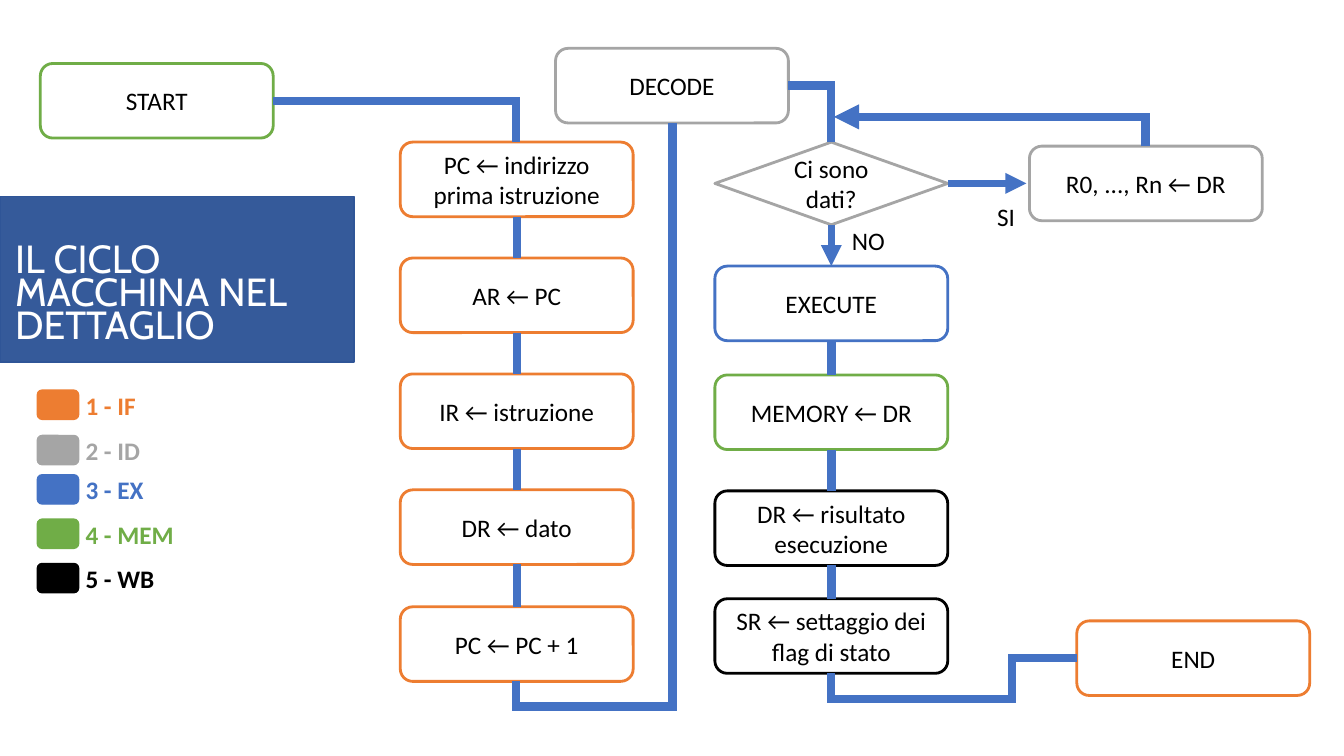
from pptx import Presentation
from pptx.dml.color import RGBColor
from pptx.enum.shapes import MSO_CONNECTOR, MSO_SHAPE
from pptx.enum.text import MSO_ANCHOR, MSO_AUTO_SIZE, PP_ALIGN
from pptx.oxml.ns import qn
from pptx.util import Pt
from lxml.etree import SubElement

WHITE = RGBColor(0xFF, 0xFF, 0xFF)
BLACK = RGBColor(0x00, 0x00, 0x00)
ORANGE = RGBColor(0xED, 0x7D, 0x31)
GREY = RGBColor(0xA5, 0xA5, 0xA5)
BLUE = RGBColor(0x44, 0x72, 0xC4)
GREEN = RGBColor(0x70, 0xAD, 0x47)
NAVY = RGBColor(0x2F, 0x55, 0x97)

EMU_PER_PX = 9144
STEP_W, STEP_H = 231, 74
TOP, BOTTOM, RIGHT = 0, 2, 3  # connection sites of a step


def px(*lengths):
    return [length * EMU_PER_PX for length in lengths]


class FlowSlide:
    """Holds the slide and the common look of its parts."""

    body_font = "Calibri"
    title_font = "Cabin"
    body_size = 18

    def __init__(self, slide):
        self.slide = slide
        self.shapes = slide.shapes

    def add_text(self, frame, text, color=BLACK, font=body_font, size=body_size,
                 bold=False, align=PP_ALIGN.LEFT):
        frame.word_wrap = True
        paragraph = frame.paragraphs[0]
        paragraph.alignment = align
        run = paragraph.add_run()
        run.text = text
        run.font.name = font
        run.font.size = Pt(size)
        run.font.bold = bold
        run.font.color.rgb = color
        return paragraph

    def block(self, kind, box, fill, outline, weight=1):
        shape = self.shapes.add_shape(kind, *px(*box))
        shape.shadow.inherit = False
        shape.fill.solid()
        shape.fill.fore_color.rgb = fill
        shape.line.color.rgb = outline
        shape.line.width = Pt(weight)
        return shape

    def step(self, text, left, top, outline, height=STEP_H,
             kind=MSO_SHAPE.FLOWCHART_ALTERNATE_PROCESS):
        shape = self.block(kind, (left, top, STEP_W, height), WHITE, outline, 2)
        shape.text_frame.vertical_anchor = MSO_ANCHOR.MIDDLE
        self.add_text(shape.text_frame, text, align=PP_ALIGN.CENTER)
        return shape

    def label(self, text, box, color=BLACK, bold=False):
        textbox = self.shapes.add_textbox(*px(*box))
        self.add_text(textbox.text_frame, text, color, bold=bold)

    def style_link(self, link, weight, arrow):
        link.line.color.rgb = BLUE
        link.line.width = Pt(weight)
        outline = link.element.spPr.find(qn("a:ln"))
        SubElement(outline, qn("a:miter"), lim="800000")
        if arrow:
            SubElement(outline, qn("a:tailEnd"), type="triangle")
        SubElement(link.element.spPr, qn("a:effectLst"))

    def straight(self, start=(0, 0), end=(0, 0), weight=6, arrow=False):
        link = self.shapes.add_connector(MSO_CONNECTOR.STRAIGHT,
                                         *px(*start, *end))
        self.style_link(link, weight, arrow)
        return link

    def descend(self, upper, lower, weight=6, arrow=False):
        """Join the bottom of one step to the top of the next."""
        link = self.straight(weight=weight, arrow=arrow)
        link.begin_connect(upper, BOTTOM)
        link.end_connect(lower, TOP)

    def elbow(self, start, end, preset="bentConnector2", turn=0, flips="",
              bends=(), arrow=False):
        """Bent line; turn is in degrees, bends are in thousandths of a percent."""
        (x1, y1), (x2, y2) = px(*start), px(*end)
        width, height = abs(x2 - x1), abs(y2 - y1)
        if turn in (90, 270):
            width, height = height, width
        left, top = (x1 + x2 - width) // 2, (y1 + y2 - height) // 2
        link = self.shapes.add_connector(MSO_CONNECTOR.ELBOW, left, top,
                                         left + width, top + height)
        frame = link.element.spPr.find(qn("a:xfrm"))
        frame.set("rot", str(turn * 60000))
        for flip in flips:
            frame.set("flip" + flip, "1")
        geometry = link.element.spPr.find(qn("a:prstGeom"))
        geometry.set("prst", preset)
        guides = geometry.find(qn("a:avLst"))
        for number, bend in enumerate(bends, 1):
            SubElement(guides, qn("a:gd"), name=f"adj{number}",
                       fmla=f"val {bend}")
        self.style_link(link, 6, arrow)

    def title(self, text, box):
        title = self.shapes.title
        title.left, title.top, title.width, title.height = px(*box)
        frame = title.text_frame
        frame.auto_size = MSO_AUTO_SIZE.NONE
        frame.vertical_anchor = MSO_ANCHOR.BOTTOM
        heading = self.add_text(frame, text, WHITE, self.title_font, 28)
        heading.line_spacing = 0.7
        title.element.getparent().append(title.element)  # in front of its band


def draw_flow(flow):
    flow.step("START", 40, 63, GREEN)
    fetch_texts = ("PC ← indirizzo prima istruzione", "AR ← PC",
                   "IR ← istruzione", "DR ← dato", "PC ← PC + 1")
    fetch = [flow.step(text, 397, 141 + row * 461 // 4, ORANGE)
             for row, text in enumerate(fetch_texts)]
    flow.step("DECODE", 551, 48, GREY)
    question = flow.step("Ci sono dati?", 709, 141, GREY, 82,
                         MSO_SHAPE.FLOWCHART_DECISION)
    run_steps = [flow.step(text, 709, top, color) for text, top, color in (
        ("EXECUTE", 264, BLUE),
        ("MEMORY ← DR", 372, GREEN),
        ("DR ← risultato esecuzione", 487, BLACK),
        ("SR ← settaggio dei flag di stato", 594, BLACK),
    )]
    flow.step("R0, ..., Rn ← DR", 1021, 145, GREY)
    flow.step("END", 1068, 616, ORANGE)

    for chain in (fetch, run_steps):
        for upper, lower in zip(chain, chain[1:]):
            flow.descend(upper, lower)
    flow.descend(question, run_steps[0], weight=5, arrow=True)
    yes_arrow = flow.straight((940, 182), (1018, 182), weight=5, arrow=True)
    yes_arrow.begin_connect(question, RIGHT)

    flow.elbow((271, 100), (512, 141))
    flow.elbow((782, 85), (824, 141))
    flow.elbow((512, 676), (667, 122), "bentConnector3", 90, "HV", (-4500,))
    flow.elbow((1136, 145), (827, 116), turn=270, flips="V", arrow=True)
    flow.elbow((824, 668), (1068, 653), "bentConnector4", 90, "HV",
               (-170700, 73700))
    flow.label("NO", (835, 219, 54, 40))
    flow.label("SI", (979, 195, 52, 40))


def draw_legend(flow):
    for phase, top, color in (("1 - IF", 387, ORANGE), ("2 - ID", 432, GREY),
                              ("3 - EX", 471, BLUE), ("4 - MEM", 515, GREEN),
                              ("5 - WB", 559, BLACK)):
        flow.block(MSO_SHAPE.ROUNDED_RECTANGLE, (37, top, 41, 29), color, color)
        flow.label(phase, (75, top - 5, 118, 40), color, bold=True)


def draw_title(flow):
    band = flow.block(MSO_SHAPE.RECTANGLE, (0, 195, 351, 164), NAVY, NAVY)
    band_color = band.element.spPr.find(qn("a:solidFill"))[0]
    SubElement(band_color, qn("a:alpha"), val="97000")
    flow.title("IL CICLO MACCHINA NEL DETTAGLIO", (5, 213, 317, 135))


def main():
    deck = Presentation()
    deck.slide_width, deck.slide_height = px(1333, 750)
    title_only = deck.slide_layouts[5]
    flow = FlowSlide(deck.slides.add_slide(title_only))
    draw_flow(flow)
    draw_legend(flow)
    draw_title(flow)
    deck.save("out.pptx")


if __name__ == "__main__":
    main()
